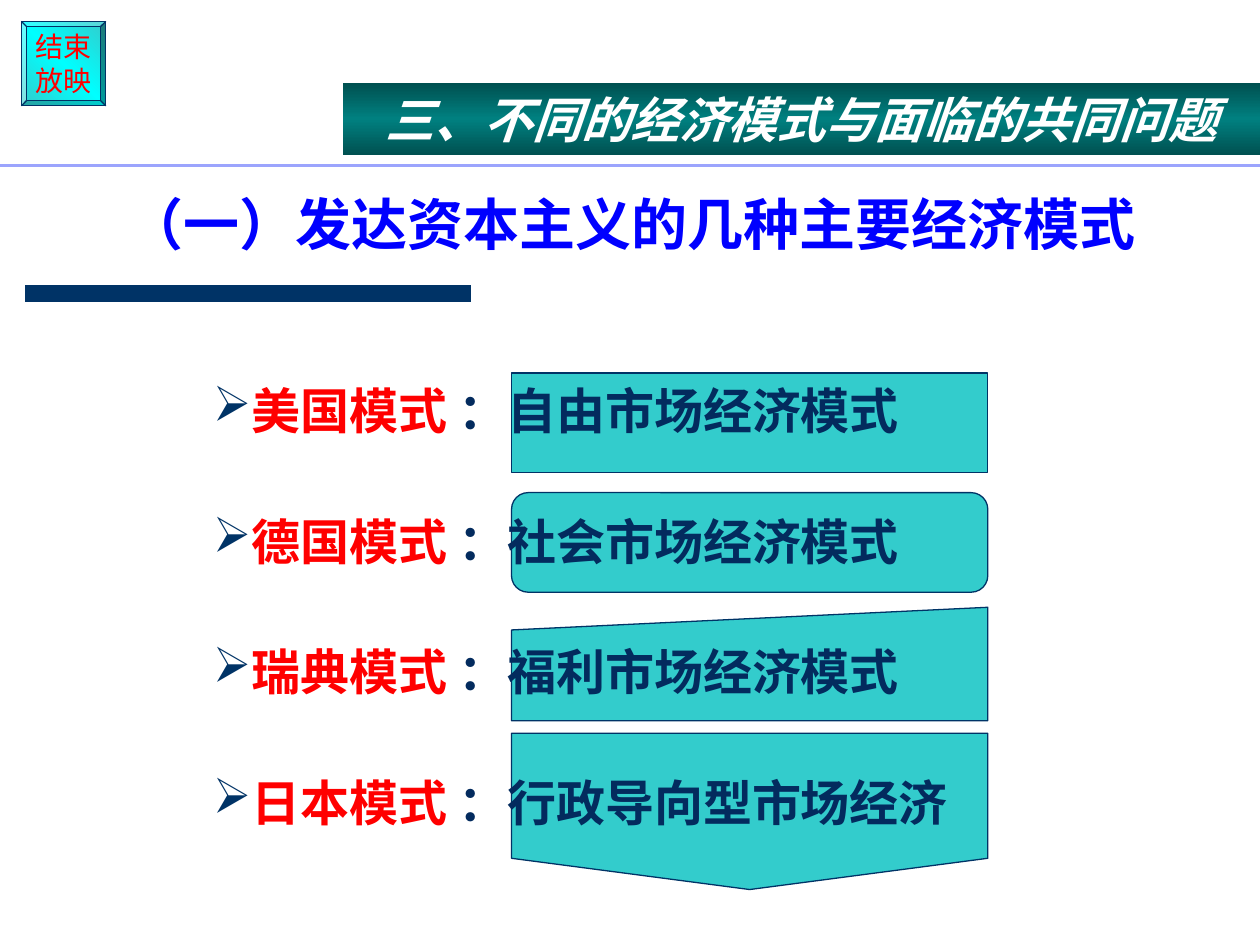
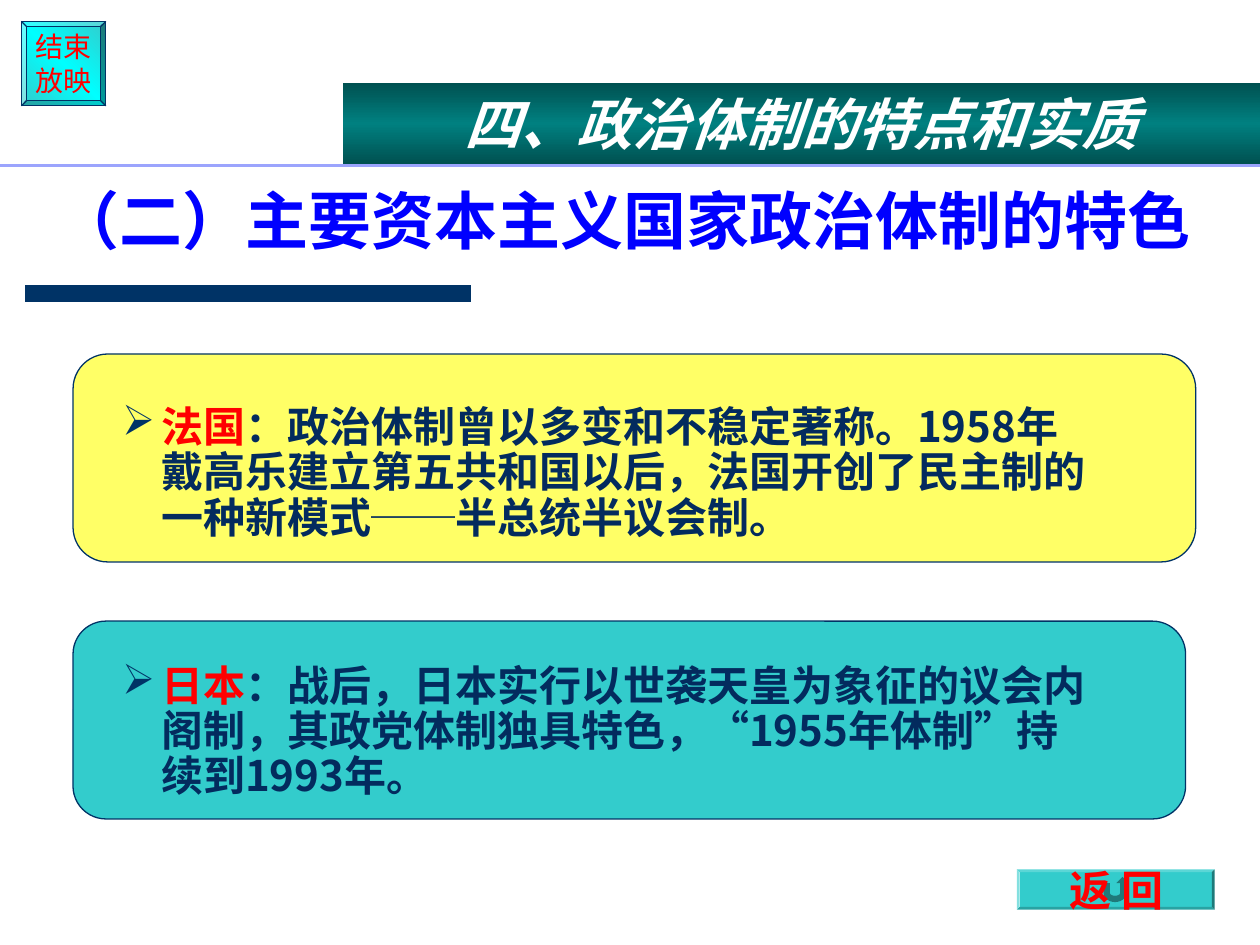
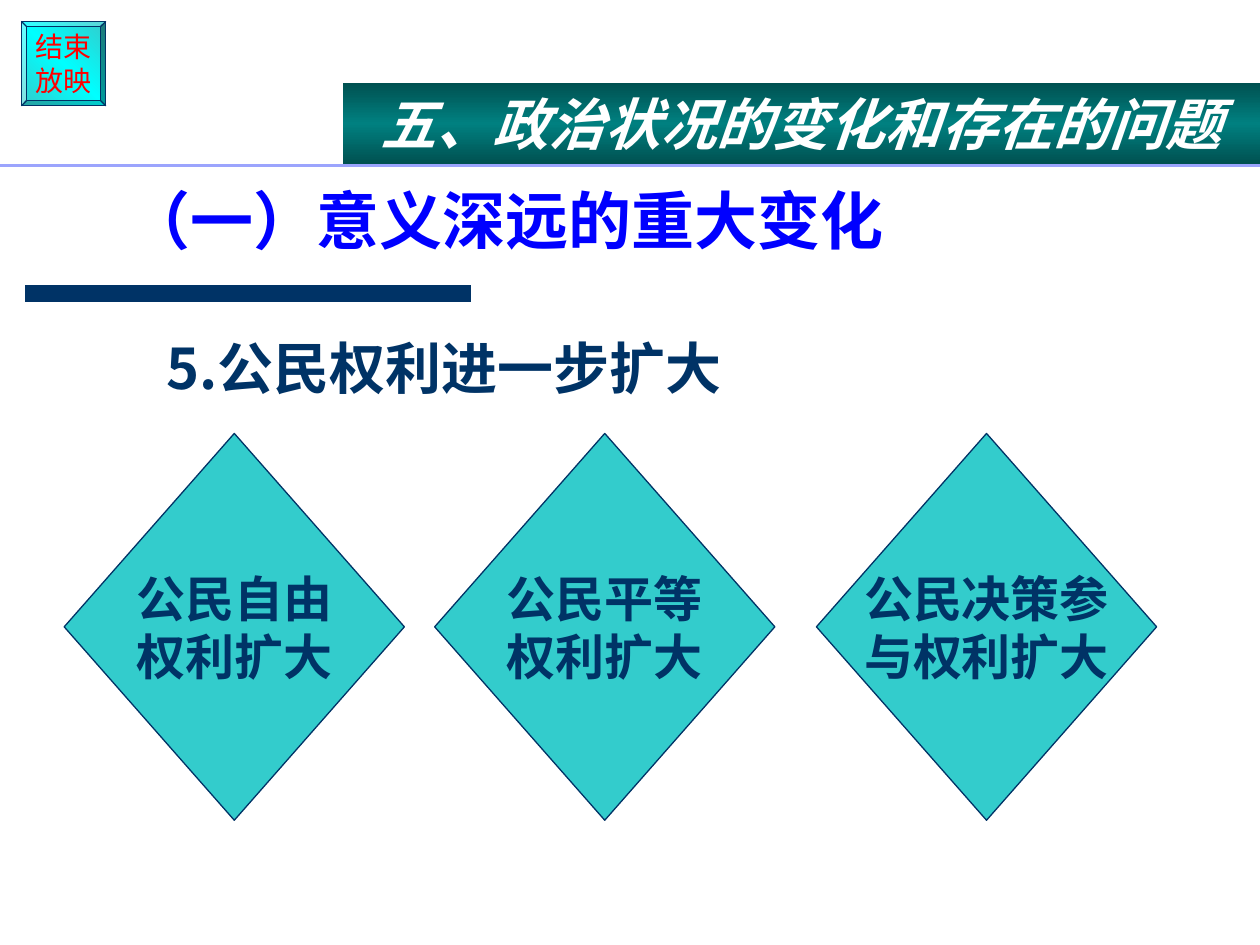
"""Build three slides on the economic and political systems of capitalist countries."""
import copy
import dataclasses
import math
import typing

import lxml.etree
import pptx
import pptx.dml.color
import pptx.enum.shapes
import pptx.enum.text
import pptx.oxml.ns
import pptx.util

RGB = pptx.dml.color.RGBColor
SHAPE = pptx.enum.shapes.MSO_SHAPE
ALIGN = pptx.enum.text.PP_ALIGN
ANCHOR = pptx.enum.text.MSO_ANCHOR
qn = pptx.oxml.ns.qn

NAVY = RGB(0x00, 0x33, 0x66)
INK = RGB(0x03, 0x2B, 0x5E)
TEAL = RGB(0x33, 0xCC, 0xCC)
DARK_TEAL = RGB(0x1F, 0x7A, 0x7A)
CYAN = RGB(0x00, 0xFF, 0xFF)
BAND_EDGE = RGB(0x00, 0x51, 0x51)
BAND_CORE = RGB(0x00, 0x80, 0x80)
YELLOW = RGB(0xFF, 0xFF, 0x66)
LILAC = RGB(0x9B, 0xA4, 0xFD)
BLUE = RGB(0x00, 0x00, 0xFF)
RED = RGB(0xFF, 0x00, 0x00)
WHITE = RGB(0xFF, 0xFF, 0xFF)

CJK = "Noto Sans CJK SC"
LATIN = "Arial"
WIDTH = pptx.util.Inches(10)
HEIGHT = pptx.util.Inches(7.5)
COLUMNS, ROWS = 100, 75
LINE_PITCH = 1.2
TIGHT = 0.9


@dataclasses.dataclass(frozen=True)
class Area:
    """A rectangle in grid columns and rows."""
    column: float
    row: float
    columns: float
    rows: float

    def lengths(self) -> tuple[int, int, int, int]:
        """Return left, top, width and height."""
        return across(self.column), down(self.row), across(self.columns), down(self.rows)


@dataclasses.dataclass(frozen=True)
class Style:
    """The look of a block of text."""
    size: float
    color: RGB
    font: str = CJK
    bold: bool = True
    italic: bool = False
    align: ALIGN = ALIGN.LEFT
    anchor: ANCHOR = ANCHOR.MIDDLE
    wrap: bool = True
    spacing: float = 1.0
    gap: float = 0
    margin: float = 0
    hanging: float = 0


@dataclasses.dataclass(frozen=True)
class Panel:
    """A filled shape with an optional label."""
    kind: SHAPE
    area: Area
    fill: RGB = TEAL
    lines: tuple[str, ...] = ()


@dataclasses.dataclass(frozen=True)
class Heading:
    """The section band and the title of one slide."""
    section: str
    section_size: float
    band_rows: float
    title: str
    title_size: float
    title_area: Area


Line = tuple[tuple[str, RGB], ...]

END_STYLE = Style(16, RED, LATIN, bold=False, align=ALIGN.CENTER, wrap=False)
RETURN_STYLE = Style(24, RED, LATIN, align=ALIGN.CENTER, wrap=False)
DIAMOND_STYLE = Style(28, NAVY, LATIN, align=ALIGN.CENTER, wrap=False)
SUBTITLE_STYLE = Style(32, NAVY, anchor=ANCHOR.TOP)
MODEL_STYLE = Style(28, INK, anchor=ANCHOR.TOP, spacing=TIGHT, gap=44.3, margin=1.25, hanging=0.25)
COUNTRY_STYLE = Style(24, INK, anchor=ANCHOR.TOP, spacing=TIGHT, gap=70, margin=0.81, hanging=0.31)

TITLE_AREA = Area(9.1, 10, 85.1, 10.9)
HEADINGS = (
    Heading("三、不同的经济模式与面临的共同问题", 28, 5.7,
            "（一）发达资本主义的几种主要经济模式", 32, TITLE_AREA),
    Heading("四、政治体制的特点和实质", 32, 6.4,
            "（二）主要资本主义国家政治体制的特色", 36, Area(3.5, 10, 92.9, 10.9)),
    Heading("五、政治状况的变化和存在的问题", 32, 6.4,
            "（一）意义深远的重大变化", 36, TITLE_AREA),
)

MODEL_PANELS = tuple(
    Panel(kind, Area(40.6, row, 37.8, rows))
    for kind, row, rows in (
        (SHAPE.RECTANGLE, 29.6, 7.9),
        (SHAPE.ROUNDED_RECTANGLE, 39.1, 7.9),
        (SHAPE.FLOWCHART_MANUAL_INPUT, 48.2, 9),
        (SHAPE.FLOWCHART_OFFPAGE_CONNECTOR, 58.2, 12.4),
    )
)
MODELS = (
    ("美国模式", " ：自由市场经济模式"),
    ("德国模式", " ：社会市场经济模式"),
    ("瑞典模式", " ：福利市场经济模式"),
    ("日本模式", " ：行政导向型市场经济"),
)
COUNTRY_PANELS = (
    Panel(SHAPE.ROUNDED_RECTANGLE, Area(5.8, 28.1, 89.1, 16.5), YELLOW),
    Panel(SHAPE.ROUNDED_RECTANGLE, Area(5.8, 49.3, 88.3, 15.7)),
)
COUNTRIES = (
    ("法国", "：政治体制曾以多变和不稳定著称。1958年戴高乐建立第五共和国以后，"
             "法国开创了民主制的一种新模式──半总统半议会制。"),
    ("日本", "：战后，日本实行以世袭天皇为象征的议会内阁制，其政党体制独具特色，"
             "“1955年体制”持续到1993年。"),
)
RIGHTS_PANELS = tuple(
    Panel(SHAPE.DIAMOND, Area(column, 34.4, 27, 30.7), lines=lines)
    for column, lines in (
        (5.1, ("公民自由", "权利扩大")),
        (34.5, ("公民平等", "权利扩大")),
        (64.8, ("公民决策参", "与权利扩大")),
    )
)


def across(columns: float) -> int:
    """Turn grid columns into a length."""
    return round(WIDTH * columns / COLUMNS)


def down(rows: float) -> int:
    """Turn grid rows into a length."""
    return round(HEIGHT * rows / ROWS)


def write(shape: typing.Any, lines: typing.Sequence[Line], style: Style) -> None:
    """Fill a shape with paragraphs of coloured spans."""
    frame = shape.text_frame
    frame.word_wrap = style.wrap
    frame.vertical_anchor = style.anchor
    for index, line in enumerate(lines):
        para = frame.add_paragraph() if index else frame.paragraphs[0]
        layout = {
            "alignment": style.align,
            "line_spacing": pptx.util.Pt(style.size * LINE_PITCH * style.spacing),
            "space_before": pptx.util.Pt(style.gap if index else 0),
        }
        for name, value in layout.items():
            setattr(para, name, value)
        if style.hanging:
            add_bullet(para, style)
        for text, color in line:
            span = para.add_run()
            span.text = text
            look = {"size": pptx.util.Pt(style.size), "bold": style.bold,
                    "italic": style.italic, "name": style.font}
            span.font.color.rgb = color
            for name, value in look.items():
                setattr(span.font, name, value)
            east = lxml.etree.SubElement(span.font._element, qn("a:ea"))
            east.set("typeface", CJK)


def add_bullet(para: typing.Any, style: Style) -> None:
    """Give a paragraph an arrowhead bullet and a hanging indent."""
    properties = para._p.get_or_add_pPr()
    properties.set("marL", str(pptx.util.Inches(style.margin)))
    properties.set("indent", str(-pptx.util.Inches(style.hanging)))
    tint = lxml.etree.SubElement(properties, qn("a:buClr"))
    lxml.etree.SubElement(tint, qn("a:srgbClr")).set("val", str(NAVY))
    lxml.etree.SubElement(properties, qn("a:buChar")).set("char", "➢")


def plain(lines: typing.Iterable[str], style: Style) -> list[Line]:
    """Turn strings into lines of one colour."""
    return [((text, style.color),) for text in lines]


def add_text(page: typing.Any, area: Area, lines: typing.Sequence[Line], style: Style) -> None:
    """Draw a text box."""
    write(page.shapes.add_textbox(*area.lengths()), lines, style)


def add_panel(page: typing.Any, panel: Panel, outline: bool = True) -> typing.Any:
    """Draw a filled shape and its label."""
    shape = page.shapes.add_shape(panel.kind, *panel.area.lengths())
    shape.shadow.inherit = False
    shape.fill.solid()
    shape.fill.fore_color.rgb = panel.fill
    if outline:
        shape.line.color.rgb = NAVY
        shape.line.width = pptx.util.Pt(0.75)
    else:
        shape.line.fill.background()
    if panel.lines:
        write(shape, plain(panel.lines, DIAMOND_STYLE), DIAMOND_STYLE)
    return shape


def shade(shape: typing.Any, edge: RGB, core: RGB, angle: float) -> None:
    """Fill a shape with a gradient that runs from edge to core and back."""
    shape.fill.gradient()
    shape.fill.gradient_angle = angle
    stops = shape._element.spPr.find(".//" + qn("a:gsLst"))
    stops.insert(1, copy.deepcopy(stops[0]))
    for stop, (position, color) in zip(shape.fill.gradient_stops,
                                       ((0, edge), (0.5, core), (1, edge))):
        stop.position = position
        stop.color.rgb = color


def add_rule(page: typing.Any, start: float, end: float, row: float,
             color: RGB, weight: float) -> None:
    """Draw a level line."""
    rule = page.shapes.add_connector(pptx.enum.shapes.MSO_CONNECTOR.STRAIGHT,
                                     across(start), down(row), across(end), down(row))
    rule.line.color.rgb = color
    rule.line.width = pptx.util.Pt(weight)
    lxml.etree.SubElement(rule._element.spPr, qn("a:effectLst"))


def add_frame(page: typing.Any, heading: Heading) -> None:
    """Draw what every slide shares: end button, rules, band and title."""
    add_rule(page, 2, 37.4, 23.3, NAVY, 10)
    button = add_panel(page, Panel(SHAPE.BEVEL, Area(1.7, 1.7, 6.7, 6.7)))
    button.adjustments[0] = 0.06
    shade(button, TEAL, CYAN, 225)
    write(button, plain(("结束", "放映"), END_STYLE), END_STYLE)
    title = Style(heading.title_size, BLUE, anchor=ANCHOR.BOTTOM, spacing=TIGHT)
    add_text(page, heading.title_area, plain((heading.title,), title), title)
    band = add_panel(page, Panel(SHAPE.RECTANGLE, Area(27.2, 6.6, 72.8, heading.band_rows)), False)
    shade(band, BAND_EDGE, BAND_CORE, 90)
    section = Style(heading.section_size, WHITE, italic=True, align=ALIGN.CENTER)
    write(band, plain((heading.section,), section), section)
    add_rule(page, 0, 100, 13.1, LILAC, 1.75)


def arc(column: float, row: float, columns: float, rows: float,
        degrees: typing.Iterable[int]) -> list[tuple[float, float]]:
    """Return points along an ellipse."""
    return [(column + columns * math.cos(math.radians(degree)),
             row + rows * math.sin(math.radians(degree))) for degree in degrees]


def add_return_button(page: typing.Any) -> None:
    """Draw the return button with its turning arrow."""
    button = add_panel(page, Panel(SHAPE.BEVEL, Area(80.7, 69, 15.7, 3.2)), False)
    button.adjustments[0] = 0.07
    outline = [(87.6, 70.1), (88.1, 70.1), *arc(88.5, 70.9, 0.4, 0.2, range(180, -1, -30)),
               (88.9, 70.1), (88.6, 70.1), (89.1, 69.6), (89.6, 70.1), (89.4, 70.1),
               *arc(88.5, 70.9, 0.9, 0.7, range(0, 181, 15))]
    points = [(across(column), down(row)) for column, row in outline]
    builder = page.shapes.build_freeform(*points[0])
    builder.add_line_segments(points[1:], close=True)
    arrow = builder.convert_to_shape()
    arrow.shadow.inherit = False
    arrow.fill.solid()
    arrow.fill.fore_color.rgb = DARK_TEAL
    arrow.line.fill.background()
    write(arrow, plain(("返 回",), RETURN_STYLE), RETURN_STYLE)


def add_named_list(page: typing.Any, area: Area, entries: typing.Iterable[tuple[str, str]],
                   style: Style) -> None:
    """Draw bulleted entries that open with a red name."""
    add_text(page, area, [((name, RED), (text, style.color)) for name, text in entries], style)


def fill_models(page: typing.Any) -> None:
    """Draw the four economic models."""
    for panel in MODEL_PANELS:
        add_panel(page, panel)
    add_named_list(page, Area(5.9, 30.2, 78.8, 38.8), MODELS, MODEL_STYLE)


def fill_countries(page: typing.Any) -> None:
    """Draw the two political systems."""
    for panel in COUNTRY_PANELS:
        add_panel(page, panel)
    add_named_list(page, Area(3.7, 31.7, 84.1, 34.2), COUNTRIES, COUNTRY_STYLE)
    add_return_button(page)


def fill_rights(page: typing.Any) -> None:
    """Draw the three widened rights."""
    add_text(page, Area(12.2, 26, 61.3, 8.3), plain(("5.公民权利进一步扩大",), SUBTITLE_STYLE),
             SUBTITLE_STYLE)
    for panel in RIGHTS_PANELS:
        add_panel(page, panel)


def main() -> None:
    """Build and save the deck."""
    deck = pptx.Presentation()
    deck.slide_width = WIDTH
    deck.slide_height = HEIGHT
    for heading, fill_page in zip(HEADINGS, (fill_models, fill_countries, fill_rights)):
        page = deck.slides.add_slide(deck.slide_layouts[6])
        add_frame(page, heading)
        fill_page(page)
    deck.save("out.pptx")


if __name__ == "__main__":
    main()
